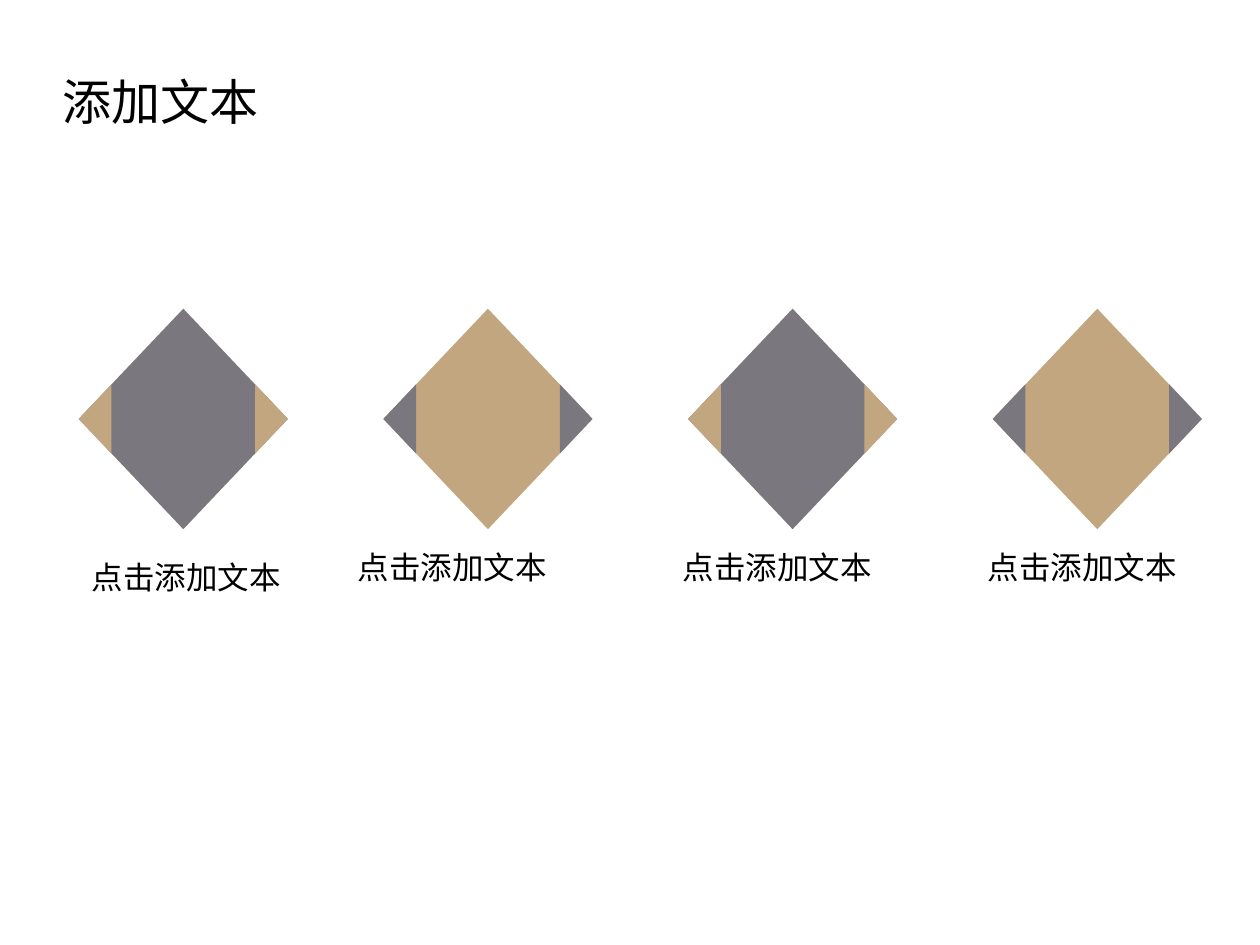
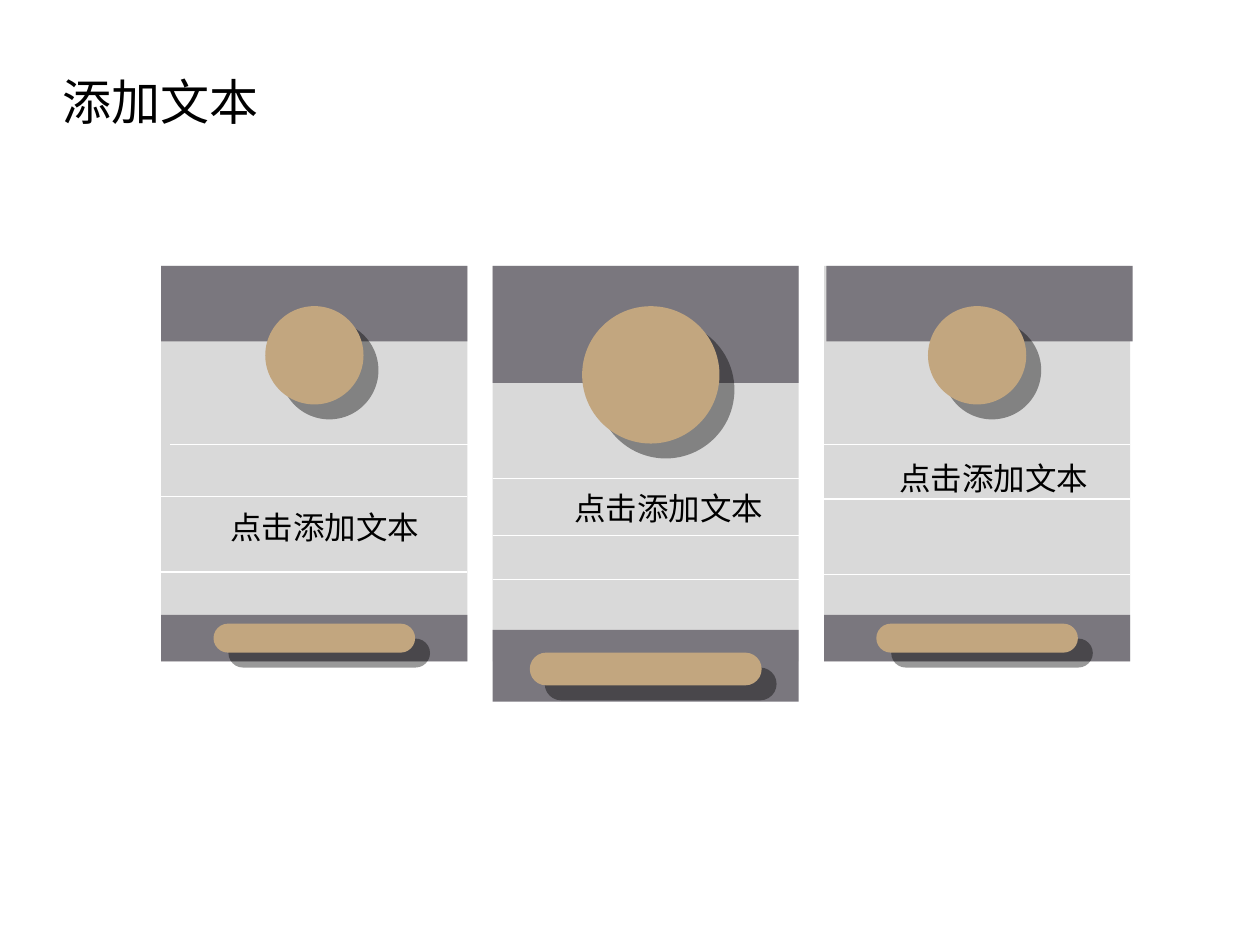
from dataclasses import dataclass

from lxml.etree import SubElement
from pptx import Presentation
from pptx.dml.color import RGBColor
from pptx.enum.shapes import MSO_CONNECTOR, MSO_SHAPE
from pptx.enum.text import MSO_AUTO_SIZE
from pptx.oxml.ns import qn
from pptx.util import Inches, Pt


@dataclass(frozen=True)
class Theme:
    """Colours, font and type sizes shared by the slides."""

    slate: str = "7A777E"
    sand: str = "C2A67F"
    panel: str = "D9D9D9"
    rule: str = "FFFFFF"
    ink: str = "000000"
    font: str = "Noto Sans CJK SC"
    title_size: int = 28
    caption_size: int = 18
    rule_width: float = 0.75
    shadow_distance: float = 12.1
    shadow_angle: int = 45
    shadow_alpha: int = 40


@dataclass(frozen=True)
class Card:
    """Measures of one card, in grid columns and rows."""

    left: float
    head_height: float
    foot_top: float
    foot_height: float
    rule_rows: tuple
    disc_size: float
    pill_top: float
    pill_width: float
    pill_height: float
    caption_at: tuple
    head_shift: float = 0
    disc_shift: float = 0
    first_rule_shift: float = 0


COLUMNS, ROWS = 100, 75
TITLE = "添加文本"
CAPTION = "点击添加文本"
DIAMOND_LEFT, DIAMOND_STEP, DIAMOND_TOP = 6.25, 24.18, 24.5
DIAMOND_WIDTH, DIAMOND_HEIGHT = 16.6, 17.5
TIP_WIDTH, TIP_HEIGHT = 2.6, 5.5
DIAMOND_CAPTIONS = ((6.3, 43.8), (27.4, 43), (53.2, 43), (77.4, 43))
CARD_TOP, CARD_WIDTH, CARD_HEIGHT, DISC_TOP = 21.1, 24.3, 31.4, 24.3
CARDS = (
    Card(12.8, 6, 48.8, 3.7, (35.3, 39.4, 45.4), 7.8, 49.5, 16, 2.3,
         (17.3, 39.8), first_rule_shift=0.7),
    Card(39.1, 9.3, 50, 5.7, (38, 42.5, 46), 10.9, 51.8, 18.4, 2.6,
         (44.6, 38.3), disc_shift=0.4),
    Card(65.4, 6, 48.8, 3.7, (35.3, 39.6, 45.6), 7.8, 49.5, 16, 2.3,
         (70.4, 35.9), head_shift=0.2),
)


class Deck:
    """Holds the theme and the current slide, and draws on a grid."""

    def __init__(self, theme):
        """Open a presentation and measure its grid."""
        self.theme = theme
        self.presentation = Presentation()
        self.presentation.slide_width = Inches(10)
        self.presentation.slide_height = Inches(7.5)
        self.slide = None

    def x(self, columns):
        """Turn columns into a length."""
        return round(self.presentation.slide_width * columns / COLUMNS)

    def y(self, rows):
        """Turn rows into a length."""
        return round(self.presentation.slide_height * rows / ROWS)

    def new_slide(self, title):
        """Start a blank slide with the shared title."""
        self.slide = self.presentation.slides.add_slide(
            self.presentation.slide_layouts[6])
        self.text(title, left=4, top=5.2, width=17.5, height=5.7,
                  size=self.theme.title_size)

    def text(self, text, *, left, top, width=17, height=4, size=None,
             color=None):
        """Place one line of text."""
        box = self.slide.shapes.add_textbox(
            self.x(left), self.y(top), self.x(width), self.y(height))
        frame = box.text_frame
        frame.word_wrap = False
        frame.auto_size = MSO_AUTO_SIZE.SHAPE_TO_FIT_TEXT
        run = frame.paragraphs[0].add_run()
        run.text = text
        run.font.size = Pt(size or self.theme.caption_size)
        run.font.name = self.theme.font
        run.font.color.rgb = RGBColor.from_string(color or self.theme.ink)
        SubElement(run.font._element, qn("a:ea"), typeface=self.theme.font)

    def paint(self, shape, color):
        """Give a shape a flat fill without line or shadow."""
        shape.shadow.inherit = False
        shape.fill.solid()
        shape.fill.fore_color.rgb = RGBColor.from_string(color)
        shape.line.fill.background()
        return shape

    def shape(self, kind, left, top, width, height, color):
        """Draw a preset shape."""
        return self.paint(self.slide.shapes.add_shape(
            kind, self.x(left), self.y(top), self.x(width), self.y(height)),
            color)

    def polygon(self, points, color):
        """Draw a closed outline through grid points."""
        start, *others = [(self.x(column), self.y(row))
                          for column, row in points]
        builder = self.slide.shapes.build_freeform(*start)
        builder.add_line_segments(others, close=True)
        self.paint(builder.convert_to_shape(), color)

    def rule(self, left, row, width):
        """Draw a thin horizontal line."""
        connector = self.slide.shapes.add_connector(
            MSO_CONNECTOR.STRAIGHT, self.x(left), self.y(row),
            self.x(left + width), self.y(row))
        connector.line.color.rgb = RGBColor.from_string(self.theme.rule)
        connector.line.width = Pt(self.theme.rule_width)
        SubElement(connector._element.spPr, qn("a:effectLst"))

    def cast_shadow(self, shape):
        """Add a hard diagonal shadow to a shape."""
        effects = shape._element.spPr.find(qn("a:effectLst"))
        shadow = SubElement(
            effects, qn("a:outerShdw"), blurRad="0",
            dist=str(Pt(self.theme.shadow_distance)),
            dir=str(self.theme.shadow_angle * 60000),
            algn="tl", rotWithShape="0")
        color = SubElement(shadow, qn("a:srgbClr"), val=self.theme.ink)
        SubElement(color, qn("a:alpha"),
                   val=str(self.theme.shadow_alpha * 1000))

    def diamond(self, left, color, tip_color):
        """Draw a diamond with contrasting left and right tips."""
        self.shape(MSO_SHAPE.DIAMOND, left, DIAMOND_TOP, DIAMOND_WIDTH,
                   DIAMOND_HEIGHT, color)
        middle = DIAMOND_TOP + DIAMOND_HEIGHT / 2
        for point, inward in ((left, 1), (left + DIAMOND_WIDTH, -1)):
            base = point + inward * TIP_WIDTH
            self.polygon([(base, middle - TIP_HEIGHT / 2), (point, middle),
                          (base, middle + TIP_HEIGHT / 2)], tip_color)

    def card(self, card):
        """Draw a ruled panel with bands, disc, pill and caption."""
        theme = self.theme
        for left, top, height, color in (
                (card.left, CARD_TOP, CARD_HEIGHT, theme.panel),
                (card.left + card.head_shift, CARD_TOP, card.head_height,
                 theme.slate),
                (card.left, card.foot_top, card.foot_height, theme.slate)):
            self.shape(MSO_SHAPE.RECTANGLE, left, top, CARD_WIDTH, height,
                       color)
        for index, row in enumerate(card.rule_rows):
            shift = 0 if index else card.first_rule_shift
            self.rule(card.left + shift, row, CARD_WIDTH)
        center = card.left + CARD_WIDTH / 2
        disc = self.shape(
            MSO_SHAPE.OVAL, center - card.disc_size / 2 + card.disc_shift,
            DISC_TOP, card.disc_size, card.disc_size, theme.sand)
        pill = self.shape(
            MSO_SHAPE.ROUNDED_RECTANGLE, center - card.pill_width / 2,
            card.pill_top, card.pill_width, card.pill_height, theme.sand)
        pill.adjustments[0] = 0.5
        for raised in (disc, pill):
            self.cast_shadow(raised)
        left, top = card.caption_at
        self.text(CAPTION, left=left, top=top)


def main():
    """Build both slides and save them."""
    theme = Theme()
    deck = Deck(theme)

    deck.new_slide(TITLE)
    colors = (theme.slate, theme.sand)
    for index, (left, top) in enumerate(DIAMOND_CAPTIONS):
        deck.diamond(DIAMOND_LEFT + index * DIAMOND_STEP,
                     colors[index % 2], colors[(index + 1) % 2])
        deck.text(CAPTION, left=left, top=top)

    deck.new_slide(TITLE)
    for card in CARDS:
        deck.card(card)

    deck.presentation.save("out.pptx")


if __name__ == "__main__":
    main()
